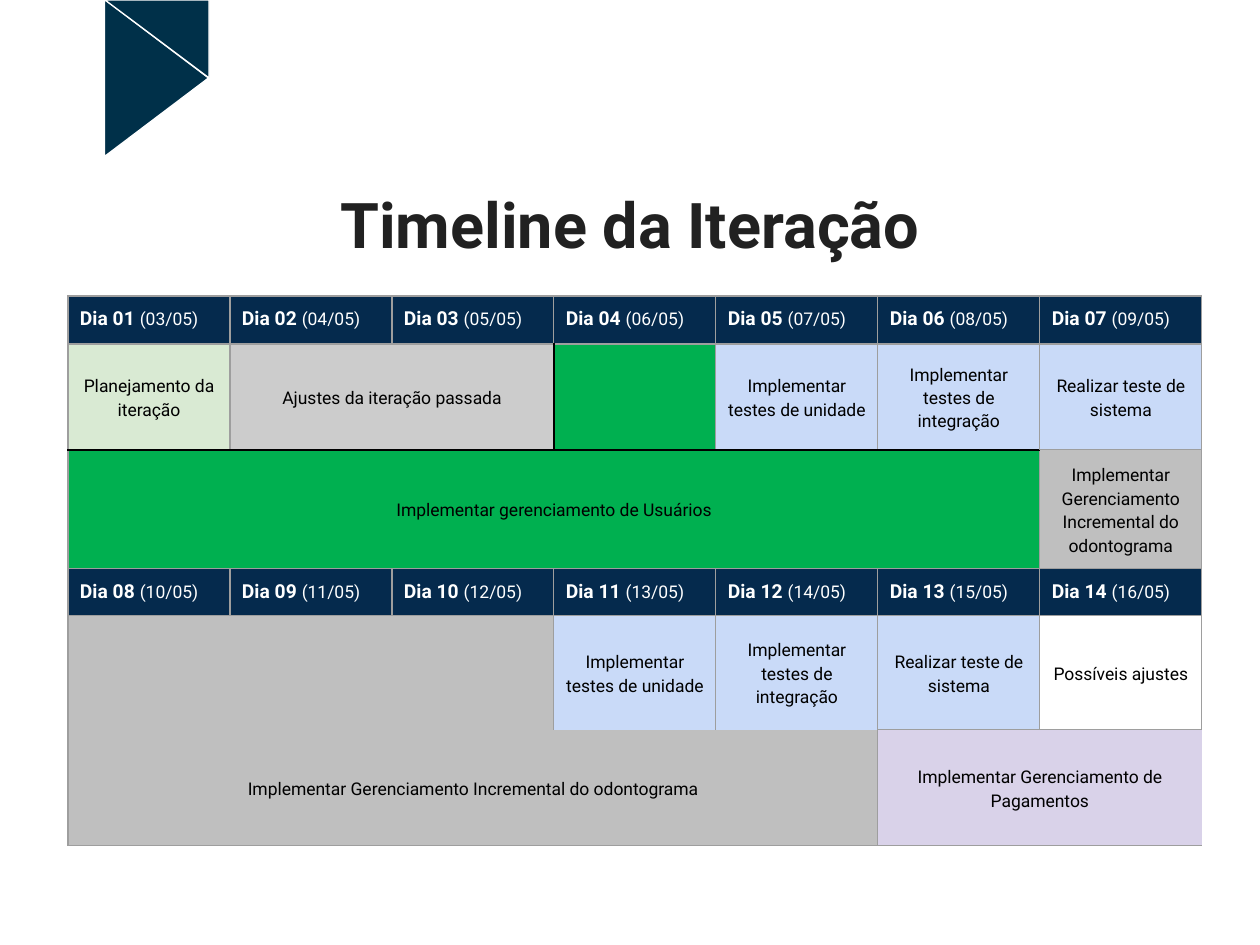
from dataclasses import dataclass
from lxml.etree import SubElement
from pptx import Presentation
from pptx.dml.color import RGBColor as Rgb
from pptx.enum.shapes import MSO_SHAPE as Shape
from pptx.enum.text import MSO_ANCHOR as Anchor, PP_ALIGN as Align
from pptx.oxml.ns import qn
from pptx.util import Pt

PLAIN = "{2D5ABB26-0587-4C30-8999-92F81FD0307C}"


@dataclass(frozen=True)
class Theme:
    """Colours, font and type sizes."""
    font: str = "Roboto"
    ink: str = "212121"
    black: str = "000000"
    white: str = "FFFFFF"
    flag: str = "003049"
    navy: str = "052A4D"
    mint: str = "D9EAD3"
    silver: str = "CCCCCC"
    grey: str = "BFBFBF"
    green: str = "00B050"
    blue: str = "C9DAF8"
    lilac: str = "D9D2E9"
    rule: str = "9E9E9E"
    title: int = 36
    day: int = 11
    body: int = 10
    thin: float = 0.75


T = Theme()


def emu(px):
    """Turn pixels into EMU."""
    return round(px * 914400 / 126)


def write(para, text, size=T.body, color=T.black, bold=False, align=None, lead=None):
    """Add a formatted run to a paragraph."""
    run = para.add_run()
    run.text = text
    font = run.font
    font.name, font.size, font.bold = T.font, Pt(size), bold
    font.color.rgb = Rgb.from_string(color)
    if align is not None:
        para.alignment = align
    if lead:
        para.line_spacing = lead


def edge(cell, side, color, width=T.thin):
    """Draw one cell border, or hide it when there is no colour."""
    line = SubElement(cell._tc.get_or_add_tcPr(), qn("a:ln" + side), w=str(Pt(width)))
    if color:
        fill = SubElement(line, qn("a:solidFill"))
        SubElement(fill, qn("a:srgbClr"), val=color)
    else:
        SubElement(line, qn("a:noFill"))


class Deck:
    """Holds the style and the current slide."""

    def __init__(self, theme, width, height):
        """Start a deck with one title-only slide."""
        self.theme = theme
        self.prs = Presentation()
        self.prs.slide_width, self.prs.slide_height = emu(width), emu(height)
        self.slide = self.prs.slides.add_slide(self.prs.slide_layouts[5])

    def title(self, text, *box):
        """Place and fill the title."""
        head = self.slide.shapes.title
        head.left, head.top, head.width, head.height = map(emu, box)
        frame = head.text_frame
        frame.vertical_anchor = Anchor.BOTTOM
        write(frame.paragraphs[0], text, size=self.theme.title,
              color=self.theme.ink, bold=True, align=Align.CENTER)

    def flag(self, kind, *box, turn=0, flip=False):
        """Add one turned piece of the flag."""
        part = self.slide.shapes.add_shape(kind, *map(emu, box))
        part.shadow.inherit = False
        part.fill.solid()
        part.fill.fore_color.rgb = Rgb.from_string(self.theme.flag)
        part.line.color.rgb = Rgb.from_string(self.theme.white)
        part.line.width = Pt(self.theme.thin)
        part.rotation = turn
        if flip:
            part._element.spPr.xfrm.set("flipH", "1")

    def borders(self, cell, first, last, marks):
        """Rule a cell: capital marks are black, small ones hidden."""
        for side in "LRTB":
            inner = (side == "L" and not first) or (side == "R" and not last)
            if inner or side.lower() in marks:
                edge(cell, side, None)
            elif side in marks:
                edge(cell, side, self.theme.black, 1)
            else:
                edge(cell, side, self.theme.rule)

    def cell(self, grid, row, col, text, fill, span=1, marks=""):
        """Fill one task or day cell, merged over its span."""
        for step in range(span):
            part = grid.cell(row, col + step)
            self.borders(part, step == 0, step == span - 1, marks)
            part.fill.solid()
            part.fill.fore_color.rgb = Rgb.from_string(fill)
        cell = grid.cell(row, col)
        if span > 1:
            cell.merge(grid.cell(row, col + span - 1))
        cell.margin_left = cell.margin_right = emu(12)
        cell.margin_top = cell.margin_bottom = emu(12)
        para = cell.text_frame.paragraphs[0]
        if fill == self.theme.navy:
            day, date = text
            write(para, day + " ", size=self.theme.day, color=self.theme.white, bold=True)
            write(para, date, color=self.theme.white)
        elif text:
            cell.vertical_anchor = Anchor.MIDDLE
            write(para, text, align=Align.CENTER, lead=1.15)

    def table(self, rows, left, top, wide, highs):
        """Add the calendar table."""
        count = sum(item[2] for item in rows[1])
        frame = self.slide.shapes.add_table(
            len(rows), count, emu(left), emu(top), emu(wide * count), emu(sum(highs)))
        grid = frame.table
        grid.first_row = grid.horz_banding = False
        grid._tbl.tblPr.find(qn("a:tableStyleId")).text = PLAIN
        for col in grid.columns:
            col.width = emu(wide)
        for row, (items, high) in enumerate(zip(rows, highs)):
            grid.rows[row].height = emu(high)
            col = 0
            for item in items:
                self.cell(grid, row, col, *item)
                col += item[2]


def days(first):
    """Give a week of header cells."""
    return [((f"Dia {day:02}", f"({day + 2:02}/05)"), T.navy, 1)
            for day in range(first, first + 7)]


UNIT = "Implementar testes de unidade"
JOIN = "Implementar testes de integração"
SYSTEM = "Realizar teste de sistema"
CHART = "Implementar Gerenciamento Incremental do odontograma"

ROWS = [
    days(1),
    [("Planejamento da iteração", T.mint, 1, "B"),
     ("Ajustes da iteração passada", T.silver, 2, "RB"),
     ("", T.green, 1, "LB"),
     (UNIT, T.blue, 1, "B"), (JOIN, T.blue, 1, "B"), (SYSTEM, T.blue, 1)],
    [("Implementar gerenciamento de Usuários", T.green, 6, "T"),
     (CHART, T.grey, 1)],
    days(8),
    [("", T.grey, 3, "b"), (UNIT, T.blue, 1, "b"), (JOIN, T.blue, 1, "b"),
     (SYSTEM, T.blue, 1), ("Possíveis ajustes", T.white, 1)],
    [(CHART, T.grey, 5, "t"),
     ("Implementar Gerenciamento de Pagamentos", T.lilac, 2)],
]

deck = Deck(T, 1260, 945)
deck.flag(Shape.ISOSCELES_TRIANGLE, 78, 26, 157, 104, turn=90)
deck.flag(Shape.RIGHT_TRIANGLE, 118, -13, 78, 104, turn=270, flip=True)
deck.title("Timeline da Iteração", 105, 161, 1050, 106)
deck.table(ROWS, 68, 296, 162, [48, 106, 119, 47, 114, 116])
deck.prs.save("out.pptx")
